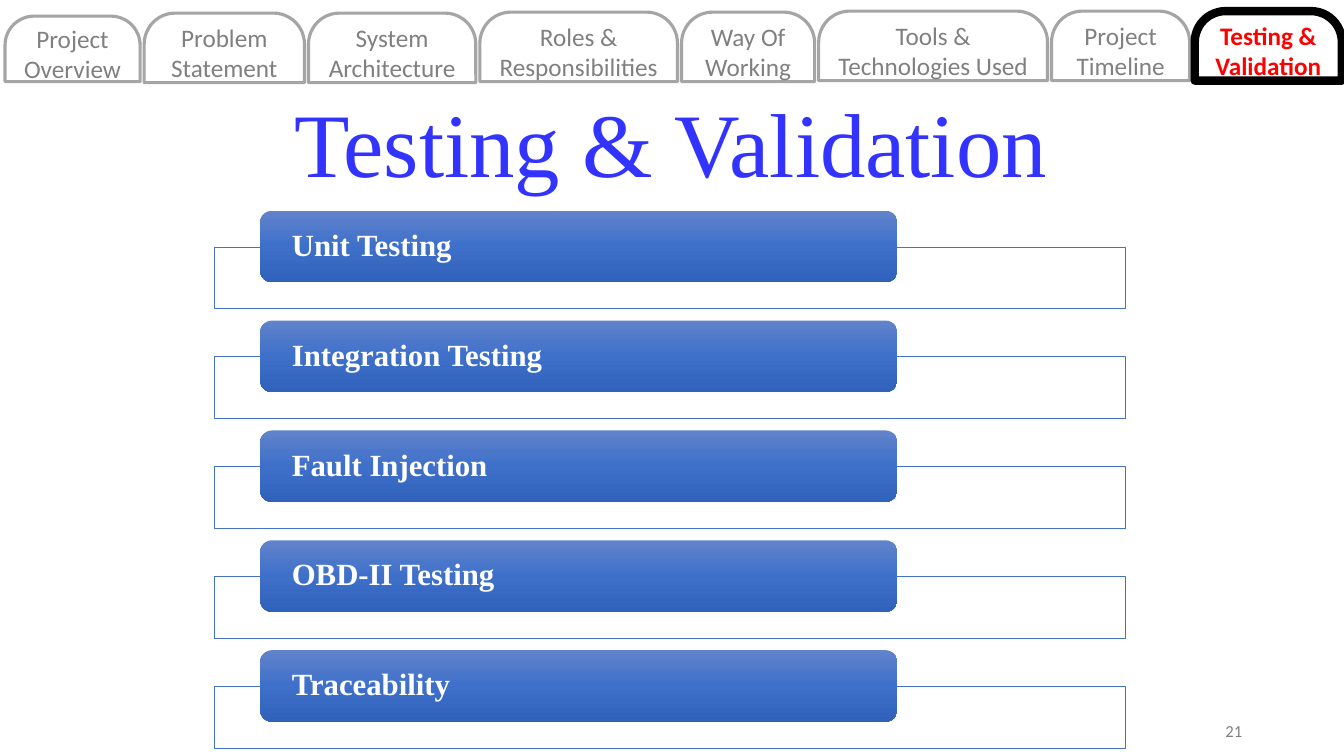
from copy import deepcopy
from pptx import Presentation
from pptx.dml.color import RGBColor
from pptx.enum.shapes import MSO_SHAPE as Geo
from pptx.enum.text import MSO_ANCHOR as Anchor, MSO_AUTO_SIZE as Fit, PP_ALIGN as Align
from pptx.util import Inches, Pt

WHITE = RGBColor(0xFF, 0xFF, 0xFF)
BLACK = RGBColor(0x00, 0x00, 0x00)
RED = RGBColor(0xFF, 0x00, 0x00)
GRAY = RGBColor(0x80, 0x80, 0x80)
SILVER = RGBColor(0xA5, 0xA5, 0xA5)
BLUE = RGBColor(0x44, 0x72, 0xC4)
VIOLET = RGBColor(0x33, 0x33, 0xFF)
SHADES = [RGBColor(0x61, 0x83, 0xCB), RGBColor(0x3E, 0x70, 0xCA), RGBColor(0x30, 0x62, 0xBB)]
SERIF = "Times New Roman"
SANS = "Calibri"

TABS = [
    ("Project Overview", 0.05, 0.16, 1.34, 0.65),
    ("Problem Statement", 1.43, 0.13, 1.59, 0.69),
    ("System Architecture", 3.06, 0.13, 1.66, 0.69),
    ("Roles & Responsibilities", 4.76, 0.12, 1.96, 0.69),
    ("Way Of Working", 6.76, 0.12, 1.32, 0.69),
    ("Tools & Technologies Used", 8.12, 0.11, 2.27, 0.69),
    ("Project Timeline", 10.43, 0.11, 1.37, 0.69),
    ("Testing & Validation", 11.85, 0.11, 1.46, 0.69),
]
STEPS = ["Unit Testing", "Integration Testing", "Fault Injection", "OBD-II Testing", "Traceability"]


def put_text(shape, text, face, size, color, align, bold=False):
    frame = shape.text_frame
    frame.word_wrap = True
    frame.auto_size = Fit.NONE
    frame.vertical_anchor = Anchor.MIDDLE
    para = frame.paragraphs[0]
    para.text = text
    para.alignment = align
    font = para.font
    font.name, font.size, font.bold = face, Pt(size), bold
    font.color.rgb = color
    return frame


def add_box(slide, geo, x, y, w, h, edge=None, width=0):
    box = slide.shapes.add_shape(geo, Inches(x), Inches(y), Inches(w), Inches(h))
    box.shadow.inherit = False
    box.fill.solid()
    box.fill.fore_color.rgb = WHITE
    if edge is None:
        box.line.fill.background()
    else:
        box.line.color.rgb = edge
        box.line.width = Pt(width)
    return box


def add_title(slide, x, y, w, h):
    title = slide.shapes.title
    title.left, title.top, title.width, title.height = map(Inches, (x, y, w, h))
    frame = put_text(title, "Testing & Validation", SERIF, 64.8, VIOLET, Align.CENTER)
    frame.vertical_anchor = Anchor.BOTTOM
    frame.paragraphs[0].line_spacing = 0.9


def add_tab(slide, text, x, y, w, h, active):
    edge, width = (BLACK, 6) if active else (SILVER, 2.25)
    tab = add_box(slide, Geo.ROUND_2_SAME_RECTANGLE, x, y, w, h, edge, width)
    tab.adjustments[0] = 0.445
    frame = put_text(tab, text, SANS, 18, RED if active else GRAY, Align.CENTER, active)
    frame.margin_left = frame.margin_right = Inches(0.05)


def shade(fill):
    fill.gradient()
    fill.gradient_angle = 270
    first = fill.gradient_stops[0]._gs
    first.addnext(deepcopy(first))
    for i, (stop, color) in enumerate(zip(fill.gradient_stops, SHADES)):
        stop.color.rgb = color
        stop.position = i / 2


def add_step(slide, text, x, y, w):
    add_box(slide, Geo.RECTANGLE, x, y + 0.36, w, 0.61, BLUE, 0.5)
    pill = add_box(slide, Geo.ROUNDED_RECTANGLE, x + 0.45, y, w * 0.7, 0.71)
    shade(pill.fill)
    frame = put_text(pill, text, SERIF, 22, WHITE, Align.LEFT, True)
    frame.margin_left = frame.margin_right = Inches(0.28)
    frame.margin_top = frame.margin_bottom = 0
    frame.paragraphs[0].line_spacing = 0.9


def add_steps(slide, x, y, w, pitch):
    for i, text in enumerate(STEPS):
        add_step(slide, text, x, y + i * pitch, w)


def add_number(slide, x, y, w, h):
    box = slide.shapes.add_textbox(Inches(x), Inches(y), Inches(w), Inches(h))
    put_text(box, "21", SANS, 12, GRAY, Align.RIGHT)


def main():
    deck = Presentation()
    deck.slide_width, deck.slide_height = Inches(13.33), Inches(7.5)
    slide = deck.slides.add_slide(deck.slide_layouts[5])
    add_title(slide, 0.08, 1.09, 13.15, 0.92)
    add_number(slide, 9.42, 7.05, 3, 0.4)
    for tab in TABS:
        add_tab(slide, *tab, active=tab is TABS[-1])
    add_steps(slide, 2.13, 2.09, 9.03, 1.09)
    deck.save("out.pptx")


if __name__ == "__main__":
    main()
